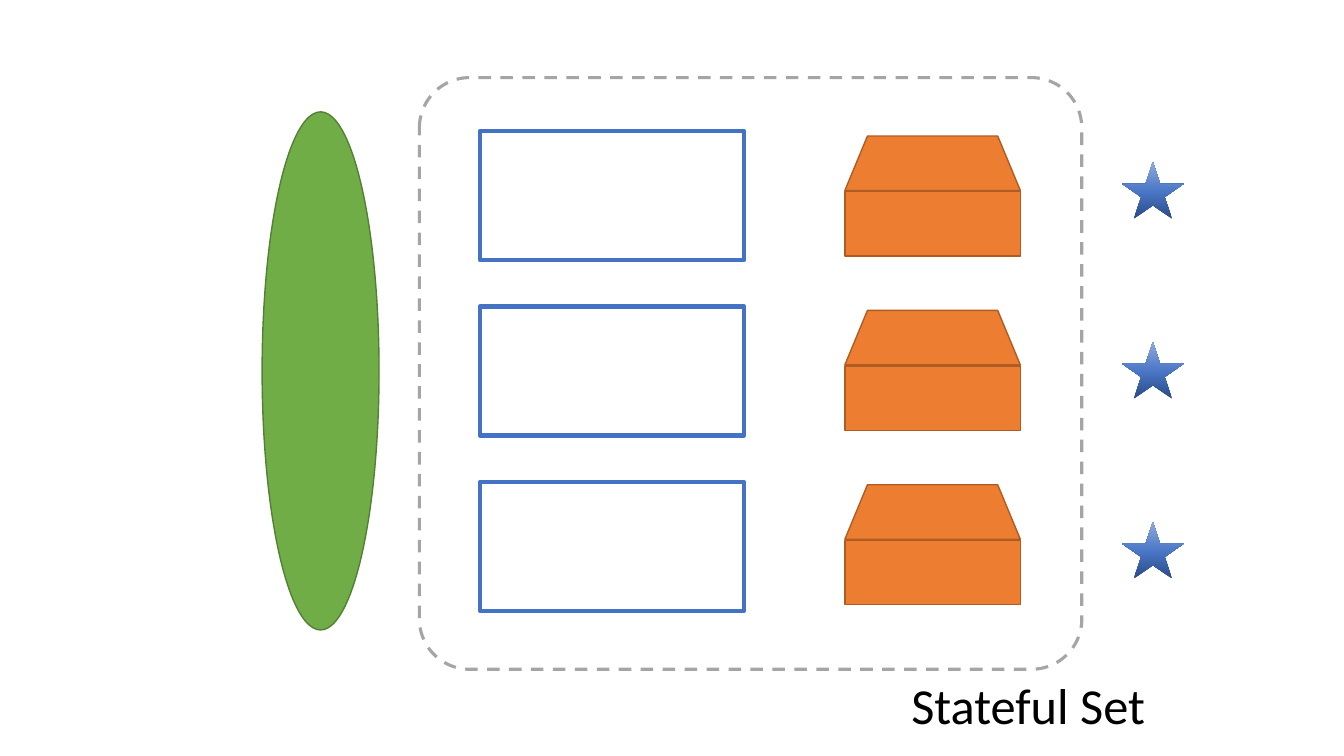
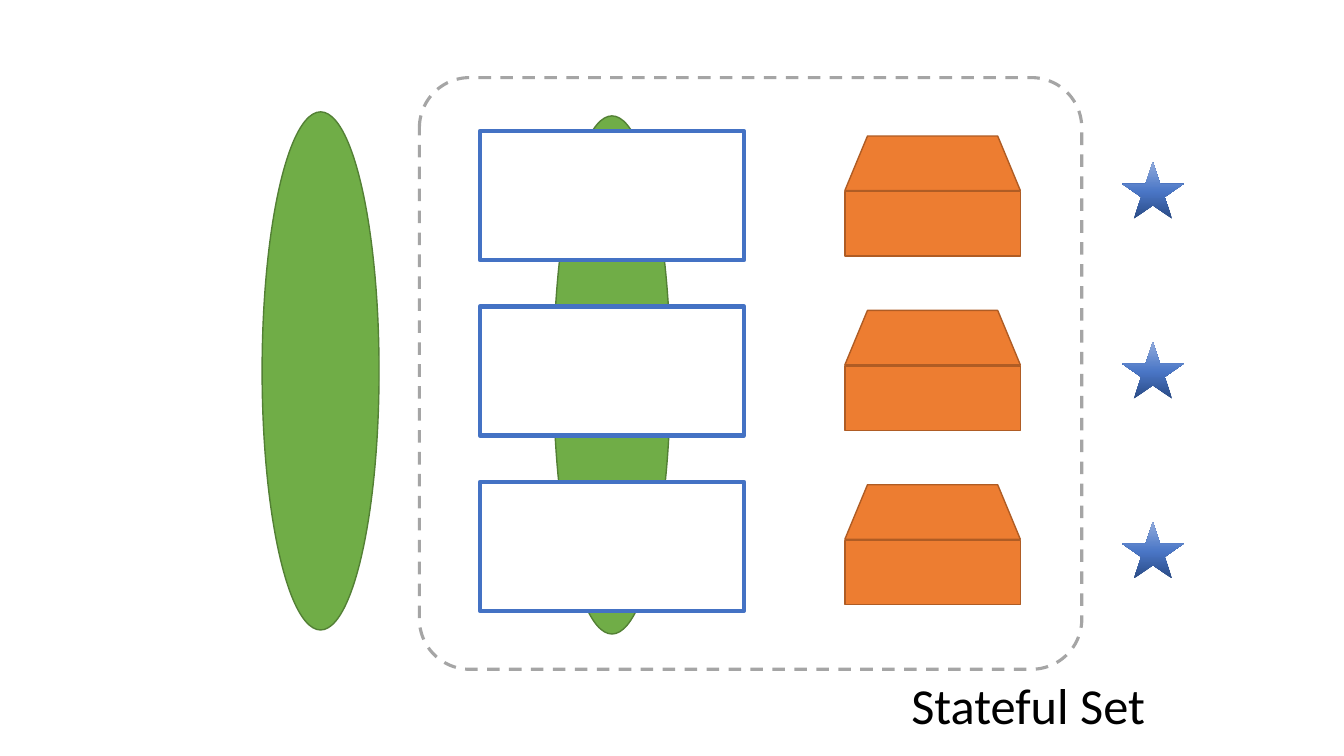
from copy import deepcopy

from pptx import Presentation
from pptx.dml.color import RGBColor
from pptx.enum.dml import MSO_LINE
from pptx.enum.shapes import MSO_SHAPE as Shape
from pptx.enum.text import MSO_AUTO_SIZE
from pptx.oxml.ns import qn
from pptx.util import Inches, Pt

COLORS = {
    "white": "FFFFFF", "black": "000000", "pod": "4472C4",
    "volume": "ED7D31", "volume_line": "AF5C24",
    "service": "70AD47", "service_line": "538035", "frame": "A5A5A5",
}
STAR_STOPS = [(0, "2A4B86"), (0.48, "4A76C6"), (1, "8FAADC")]
LABEL = "Stateful Set"

# One entry per slide: the left and top of each service ellipse
# that lies behind the pods.
SLIDES = [[], [(5.49, 1.15)]]

ROWS = 3
POD_PITCH, VOLUME_PITCH, STAR_PITCH = 1.74, 1.73, 1.785


def rgb(name):
    return RGBColor.from_string(COLORS[name])


def add_shape(shapes, kind, box, fill=None, line=None, width=1, adjust=None):
    shape = shapes.add_shape(kind, *map(Inches, box))
    shape.shadow.inherit = False
    if adjust is not None:
        shape.adjustments[0] = adjust
    if fill:
        shape.fill.solid()
        shape.fill.fore_color.rgb = rgb(fill)
    else:
        shape.fill.background()
    if line:
        shape.line.color.rgb = rgb(line)
        shape.line.width = Pt(width)
    else:
        shape.line.fill.background()
    return shape


def add_service(page, left, top):
    add_shape(page.shapes, Shape.OVAL, (left, top, 1.16, 5.14),
              "service", "service_line")


def add_volume(page, top):
    """Draw a storage box: a trapezoid lid on a rectangle, grouped."""
    parts = page.shapes.add_group_shape().shapes
    style = {"fill": "volume", "line": "volume_line"}
    add_shape(parts, Shape.TRAPEZOID, (8.38, top, 1.74, 0.54), adjust=0.415, **style)
    add_shape(parts, Shape.RECTANGLE, (8.38, top + 0.55, 1.74, 0.64), **style)


def add_star(page, top):
    star = add_shape(page.shapes, Shape.STAR_5_POINT, (11.13, top, 0.61, 0.56))
    star.fill.gradient()
    star.fill.gradient_angle = 90
    stop_list = star._element.spPr.find(qn("a:gradFill")).find(qn("a:gsLst"))
    stop_list.append(deepcopy(stop_list[0]))
    for stop, (position, color) in zip(star.fill.gradient_stops, STAR_STOPS):
        stop.position = position
        stop.color.rgb = RGBColor.from_string(color)


def add_label(page):
    box = page.shapes.add_textbox(*map(Inches, (8.94, 6.64, 2.54, 0.71)))
    frame = box.text_frame
    frame.word_wrap = False
    frame.auto_size = MSO_AUTO_SIZE.SHAPE_TO_FIT_TEXT
    para = frame.paragraphs[0]
    para.text = LABEL
    para.font.name = "Calibri"
    para.font.size = Pt(36)
    para.font.color.rgb = rgb("black")


def add_diagram(page, services_behind):
    for left, top in services_behind:
        add_service(page, left, top)
    for row in range(ROWS):
        add_shape(page.shapes, Shape.RECTANGLE,
                  (4.76, 1.3 + row * POD_PITCH, 2.62, 1.28), "white", "pod", 3)
    for row in range(ROWS):
        add_volume(page, 1.35 + row * VOLUME_PITCH)
    add_service(page, 2.6, 1.11)
    frame = add_shape(page.shapes, Shape.ROUNDED_RECTANGLE, (4.16, 0.77, 6.57, 5.87),
                      line="frame", width=2.25, adjust=0.085)
    frame.line.dash_style = MSO_LINE.DASH
    add_label(page)
    for row in range(ROWS):
        add_star(page, 1.61 + row * STAR_PITCH)


def main():
    deck = Presentation()
    deck.slide_width, deck.slide_height = Inches(13.33), Inches(7.5)
    for services_behind in SLIDES:
        page = deck.slides.add_slide(deck.slide_layouts[6])
        add_diagram(page, services_behind)
    deck.save("out.pptx")


if __name__ == "__main__":
    main()
